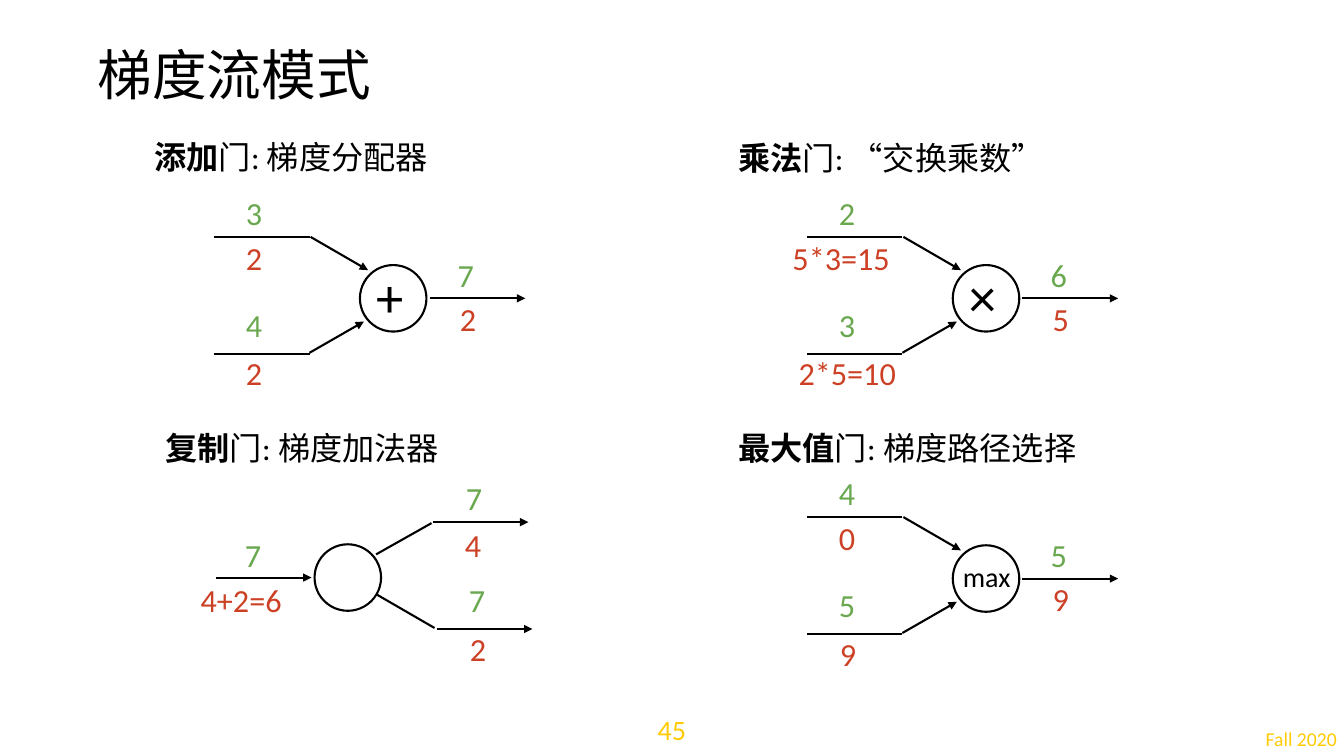
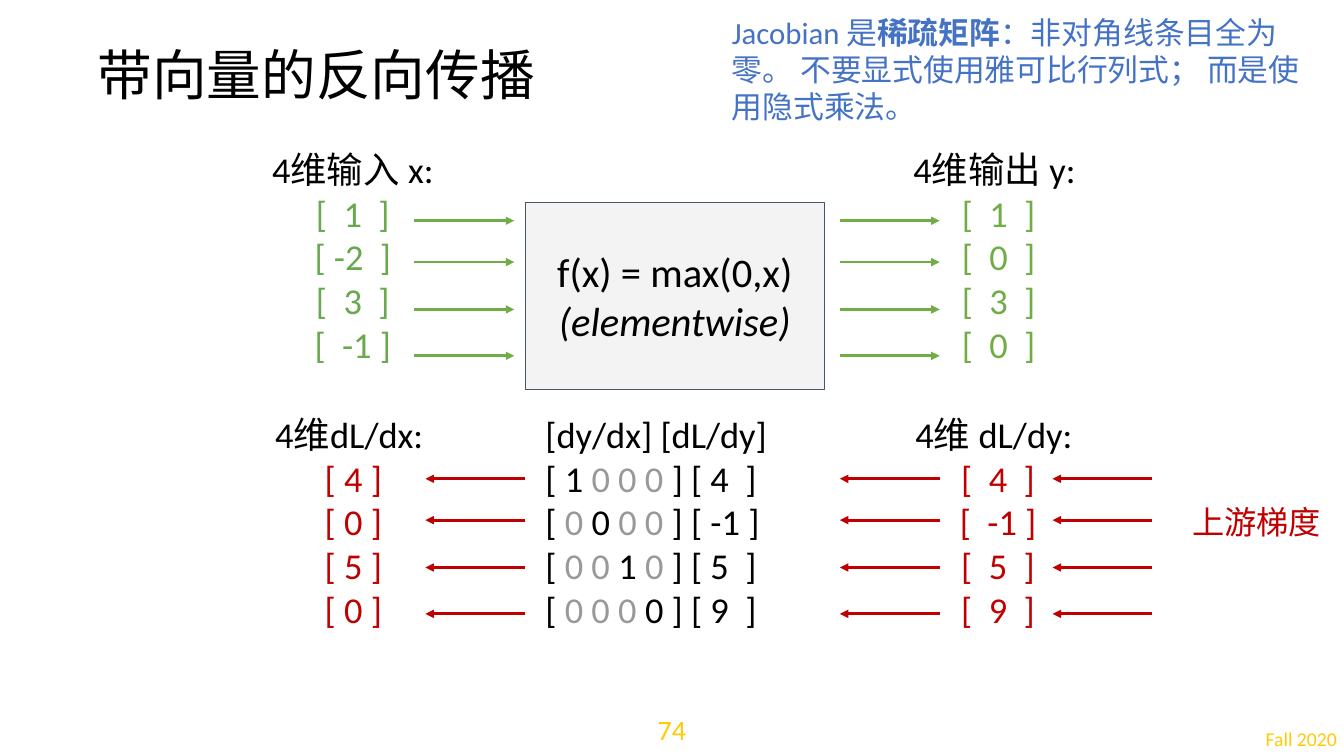
from dataclasses import dataclass

import pptx
import pptx.dml.color
import pptx.enum.shapes
import pptx.enum.text
import pptx.oxml.ns
import pptx.util
from lxml import etree
from pptx.util import Inches

ALIGN = pptx.enum.text.PP_ALIGN
ANCHOR = pptx.enum.text.MSO_ANCHOR
SHAPE = pptx.enum.shapes.MSO_SHAPE


@dataclass(frozen=True)
class Theme:
    font: str = "Calibri"
    ink: str = "000000"
    value: str = "6AA84F"
    gradient: str = "CC4125"
    forward: str = "70AD47"
    backward: str = "C00000"
    muted: str = "999999"
    note: str = "4472C4"
    footer: str = "FFCB05"
    box_fill: str = "F3F3F3"
    box_line: str = "44546A"
    title_size: int = 39
    formula_size: int = 29
    vector_size: int = 26
    label_size: int = 23
    note_size: int = 22
    small_size: int = 20
    footer_size: int = 14


THEME = Theme()


def rgb(code):
    return pptx.dml.color.RGBColor.from_string(code)


def add_run(paragraph, text, size=THEME.label_size, color=THEME.ink, bold=False, italic=False):
    run = paragraph.add_run()
    run.text = text
    run.font.name = THEME.font
    run.font.size = pptx.util.Pt(size)
    run.font.color.rgb = rgb(color)
    run.font.bold = bold
    run.font.italic = italic


def fill_frame(frame, lines, align=ALIGN.LEFT, anchor=ANCHOR.TOP, inset=0.13,
               wrap=True, spacing=None, **font):
    """Write lines; each is a string or a list of (text, font changes) runs."""
    frame.auto_size = pptx.enum.text.MSO_AUTO_SIZE.NONE
    frame.word_wrap = wrap
    frame.vertical_anchor = anchor
    frame.margin_left = frame.margin_right = Inches(inset)
    frame.margin_top = frame.margin_bottom = Inches(inset)
    for index, line in enumerate(lines):
        paragraph = frame.add_paragraph() if index else frame.paragraphs[0]
        paragraph.alignment = align
        paragraph.line_spacing = spacing
        for text, changes in [(line, {})] if isinstance(line, str) else line:
            add_run(paragraph, text, **{**font, **changes})


class Deck:
    def __init__(self):
        self.presentation = pptx.Presentation()
        self.presentation.slide_width = Inches(13.33)
        self.presentation.slide_height = Inches(7.5)
        self.slide = None

    def start_slide(self, title, number, title_width):
        self.slide = self.presentation.slides.add_slide(self.presentation.slide_layouts[5])
        heading = self.slide.shapes.title
        heading.left, heading.top = Inches(0.92), Inches(0.4)
        heading.width, heading.height = Inches(title_width), Inches(0.75)
        fill_frame(heading.text_frame, [title], anchor=ANCHOR.MIDDLE, inset=0.05,
                   spacing=0.9, size=THEME.title_size)
        self.text(10.66, 7.16, 2.65, 0.32, "Fall 2020", align=ALIGN.RIGHT, inset=0.05,
                  size=THEME.footer_size, color=THEME.footer)
        self.text(6.46, 7.02, 0.41, 0.42, number, align=ALIGN.CENTER, anchor=ANCHOR.MIDDLE,
                  inset=0.05, wrap=False, size=THEME.small_size, color=THEME.footer)

    def text(self, left, top, width, height, *lines, **style):
        box = self.slide.shapes.add_textbox(
            Inches(left), Inches(top), Inches(width), Inches(height))
        fill_frame(box.text_frame, lines, **style)

    def shape(self, kind, left, top, width, height, line, weight, fill=None):
        outline = self.slide.shapes.add_shape(
            kind, Inches(left), Inches(top), Inches(width), Inches(height))
        outline.shadow.inherit = False
        if fill:
            outline.fill.solid()
            outline.fill.fore_color.rgb = rgb(fill)
        else:
            outline.fill.background()
        outline.line.color.rgb = rgb(line)
        outline.line.width = pptx.util.Pt(weight)
        return outline

    def node(self, left, top):
        self.shape(SHAPE.OVAL, left, top, 0.66, 0.66, THEME.ink, 1.5)

    def line(self, x1, y1, x2, y2, arrow=False, color=THEME.ink, weight=1.5):
        connector = self.slide.shapes.add_connector(
            pptx.enum.shapes.MSO_CONNECTOR.STRAIGHT,
            Inches(x1), Inches(y1), Inches(x2), Inches(y2))
        connector.line.color.rgb = rgb(color)
        connector.line.width = pptx.util.Pt(weight)
        qn = pptx.oxml.ns.qn
        properties = connector._element.spPr
        if arrow:
            etree.SubElement(properties.find(qn("a:ln")), qn("a:tailEnd"), type="triangle")
        etree.SubElement(properties, qn("a:effectLst"))

    def label(self, left, top, text, color):
        self.text(left, top, 1.45, 0.64, text, color=color)

    def gate_heading(self, left, top, name, role):
        self.text(left, top, 5.19, 0.66, [(name, {"bold": True}), ("门: " + role, {})])

    def fan_in_gate(self, x, y, values, gradients):
        """Draw two inputs joining in a node; (x, y) starts the upper input.

        Values are upper, lower and output; gradients are (text, x offset) pairs.
        """
        self.node(x + 1.45, y + 0.28)
        self.line(x + 2.14, y + 0.61, x + 3.09, y + 0.61, arrow=True)
        for drop in (0, 1.16):
            self.line(x, y + drop, x + 0.95, y + drop)
        self.line(x + 0.95, y + 1.15, x + 1.49, y + 0.84, arrow=True)
        self.line(x + 0.96, y, x + 1.53, y + 0.33, arrow=True)
        for value, dx, dy in zip(values, (0.19, 0.19, 2.29), (-0.56, 0.55, 0.05)):
            self.label(x + dx, y + dy, value, THEME.value)
        for (gradient, dx), dy in zip(gradients, (-0.12, 1.03, 0.49)):
            self.label(x + dx, y + dy, gradient, THEME.gradient)

    def copy_gate(self):
        self.node(3.12, 5.4)
        self.line(2.14, 5.73, 3.09, 5.73, arrow=True)
        self.line(3.73, 5.5, 4.28, 5.19)
        self.line(3.74, 5.9, 4.31, 6.23)
        for x, y in ((4.29, 5.18), (4.33, 6.24)):
            self.line(x, y, x + 0.95, y, arrow=True)
        for value, x, y in (("7", 4.49, 4.62), ("7", 4.52, 5.63), ("7", 2.3, 5.18)):
            self.label(x, y, value, THEME.value)
        for gradient, x, y in (("4+2=6", 1.86, 5.63), ("4", 4.48, 5.08), ("2", 4.53, 6.11)):
            self.label(x, y, gradient, THEME.gradient)

    def row_arrows(self, start, end, top, color):
        for drop in (0, 0.41, 0.88, 1.34):
            self.line(start, top + drop, end, top + drop, arrow=True, color=color, weight=2)

    def vector(self, left, top, width, heading, entries, color):
        rows = [[(f"[ {entry} ]", {"color": color})] for entry in entries]
        self.text(left, top, width, 2.46, heading, *rows,
                  align=ALIGN.CENTER, size=THEME.vector_size)


def jacobian_row(index, diagonal, upstream):
    """Give the runs of one matrix row, with all but its diagonal entry muted."""
    row = [("[ ", {})]
    for column in range(4):
        on_diagonal = column == index
        row.append(((diagonal if on_diagonal else "0") + " ",
                    {"color": THEME.ink if on_diagonal else THEME.muted}))
    return row + [(f"] [ {upstream} ]", {})]


def build_gradient_patterns(deck):
    deck.start_slide("梯度流模式", "45", 11.5)
    for heading in ((1.4, 1.23, "添加", "梯度分配器"), (7.19, 1.24, "乘法", "“交换乘数”"),
                    (1.51, 4.12, "复制", "梯度加法器"), (7.19, 4.12, "最大值", "梯度路径选择")):
        deck.gate_heading(*heading)
    deck.fan_in_gate(2.12, 2.35, "347", (("2", 0.19), ("2", 0.19), ("2", 2.31)))
    deck.fan_in_gate(8, 2.35, "236", (("5*3=15", -0.27), ("2*5=10", -0.21), ("5", 2.31)))
    deck.fan_in_gate(8, 5.13, "455", (("0", 0.19), ("9", 0.2), ("9", 2.31)))
    for x, symbol in ((3.6, "+"), (9.48, "×")):
        deck.text(x, 2.48, 0.66, 0.91, symbol, size=THEME.title_size)
    deck.text(9.42, 5.42, 0.8, 0.59, "max", size=THEME.small_size)
    deck.copy_gate()


def build_vector_backprop(deck):
    deck.start_slide("带向量的反向传播", "74", 4.95)
    deck.text(7.13, 0.01, 5.93, 1.38,
              [("Jacobian 是", {}), ("稀疏矩阵", {"bold": True}),
               ("：非对角线条目全为零。 不要显式使用雅可比行列式； 而是使用隐式乘法。", {})],
              size=THEME.note_size, color=THEME.note)

    function_box = deck.shape(SHAPE.RECTANGLE, 5.21, 2.01, 2.97, 1.85,
                              THEME.box_line, 0.75, THEME.box_fill)
    fill_frame(function_box.text_frame,
               ["f(x) = max(0,x)", [("(elementwise)", {"italic": True})]],
               align=ALIGN.CENTER, anchor=ANCHOR.MIDDLE, size=THEME.formula_size)

    for start in (4.11, 8.33):
        deck.row_arrows(start, start + 0.99, 2.19, THEME.forward)
    for end in (4.22, 8.33, 10.44):
        deck.row_arrows(end + 0.99, end, 4.75, THEME.backward)

    upstream = (" 4 ", " -1", " 5 ", " 9 ")
    deck.vector(2.43, 1.33, 2.14, "4维输入 x:", (" 1 ", "-2 ", " 3 ", " -1"), THEME.value)
    deck.vector(8.7, 1.33, 2.41, "4维输出 y: ", (" 1 ", " 0 ", " 3 ", " 0 "), THEME.forward)
    deck.vector(2.48, 3.96, 2.05, "4维dL/dx: ", "4050", THEME.backward)
    deck.vector(8.53, 3.96, 2.74, "4维 dL/dy: ", upstream, THEME.backward)

    matrix = [jacobian_row(index, *entries)
              for index, entries in enumerate(zip("1010", ("4 ", "-1", "5 ", "9 ")))]
    deck.text(5.28, 3.96, 2.83, 2.35, "[dy/dx] [dL/dy]", *matrix, size=THEME.vector_size)
    deck.text(11.5, 4.85, 1.93, 0.66, "上游梯度", align=ALIGN.CENTER, color=THEME.backward)


def main():
    deck = Deck()
    build_gradient_patterns(deck)
    build_vector_backprop(deck)
    deck.presentation.save("out.pptx")


if __name__ == "__main__":
    main()
